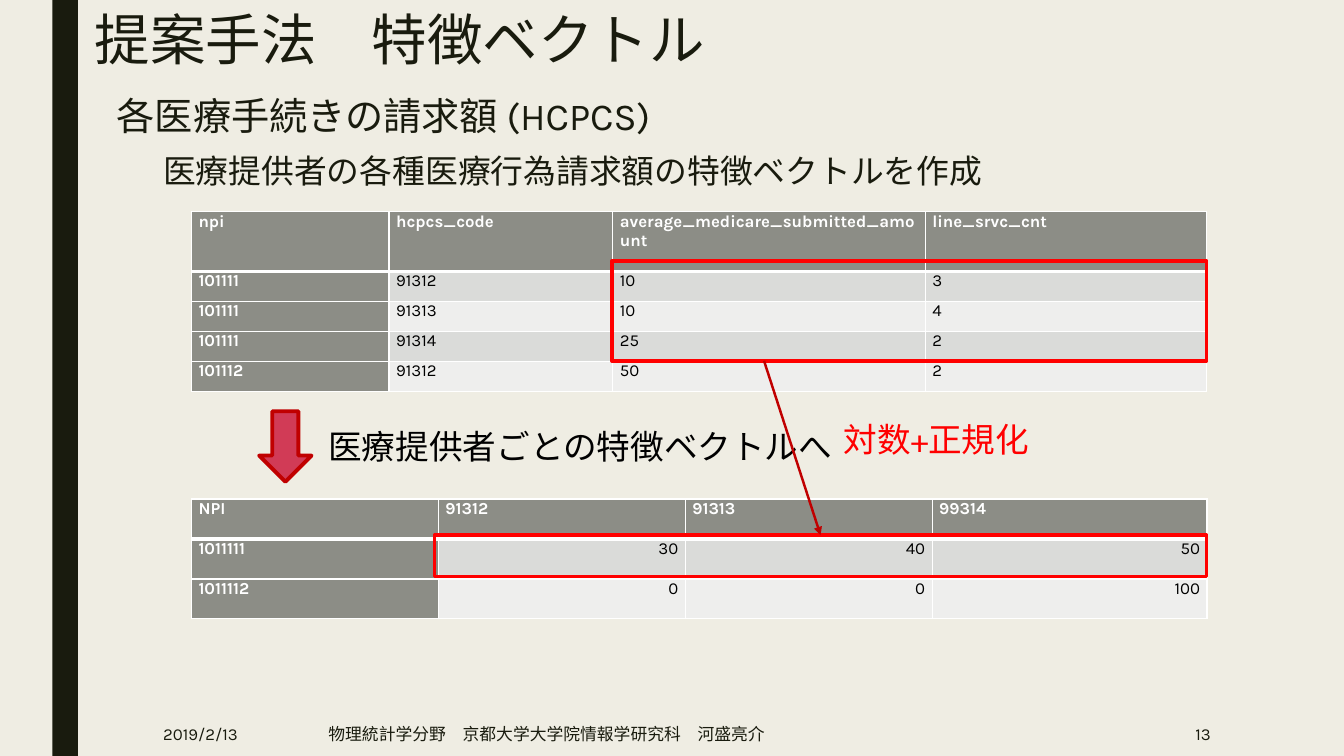
from lxml.etree import SubElement
from pptx import Presentation
from pptx.dml.color import RGBColor
from pptx.enum.shapes import MSO_CONNECTOR, MSO_SHAPE
from pptx.enum.text import MSO_ANCHOR, MSO_AUTO_SIZE, PP_ALIGN
from pptx.oxml.ns import qn
from pptx.util import Inches, Pt

INK, RED, DARK_RED, WHITE, BLACK = "191B0E", "FF0000", "C00000", "FFFFFF", "000000"
HEAD, BANDS = "8C8D86", ("DADBD9", "EEEEED")
LATIN, CJK = "Karla", "Noto Sans CJK JP"


def rgb(value):
    return RGBColor.from_string(value)


class Deck:
    """Style and current slide; lengths are percent of slide width or height."""

    def __init__(self, background):
        self.prs = Presentation()
        self.prs.slide_width, self.prs.slide_height = Inches(13.333), Inches(7.5)
        self.s = self.prs.slides.add_slide(self.prs.slide_layouts[5])
        self.s.background.fill.solid()
        self.s.background.fill.fore_color.rgb = rgb(background)

    def x(self, share):
        return round(self.prs.slide_width * share / 100)

    def y(self, share):
        return round(self.prs.slide_height * share / 100)

    def box(self, left, top, width, height):
        return self.x(left), self.y(top), self.x(width), self.y(height)

    def set_text(self, tf, text, size, color, bold=False, align=PP_ALIGN.LEFT,
                 font=LATIN, spacing=None):
        tf.text = text
        p = tf.paragraphs[0]
        p.alignment = align
        if spacing:
            p.line_spacing = spacing
        r = p.runs[0]
        r.font.size, r.font.bold, r.font.name = Pt(size), bold, font
        r.font.color.rgb = rgb(color)
        SubElement(r._r.get_or_add_rPr(), qn("a:ea")).set("typeface", CJK)

    def title(self, text, at, size):
        sp = self.s.shapes.title
        sp.left, sp.top, sp.width, sp.height = self.box(*at)
        tf = sp.text_frame
        tf.auto_size, tf.vertical_anchor = MSO_AUTO_SIZE.NONE, MSO_ANCHOR.TOP
        self.set_text(tf, text, size, INK, spacing=0.89)

    def text(self, text, at, size, color=INK, anchor=MSO_ANCHOR.TOP, **style):
        tf = self.s.shapes.add_textbox(*self.box(*at)).text_frame
        tf.word_wrap, tf.vertical_anchor = True, anchor
        self.set_text(tf, text, size, color, **style)

    def shape(self, kind, at, fill=None, line=None):
        sp = self.s.shapes.add_shape(kind, *self.box(*at))
        sp.shadow.inherit = False
        if fill:
            sp.fill.solid()
            sp.fill.fore_color.rgb = rgb(fill)
        else:
            sp.fill.background()
        if line:
            sp.line.color.rgb, sp.line.width = rgb(line), Pt(2.75)
        else:
            sp.line.fill.background()
        return sp

    def arrow(self, left, top, target):
        cx = self.s.shapes.add_connector(
            MSO_CONNECTOR.STRAIGHT, self.x(left), self.y(top), target.left, target.top)
        cx.end_connect(target, 0)
        cx.line.color.rgb, cx.line.width = rgb(DARK_RED), Pt(1.75)
        sp_pr = cx._element.spPr
        SubElement(sp_pr.find(qn("a:ln")), qn("a:tailEnd")).set("type", "triangle")
        SubElement(sp_pr, qn("a:effectLst"))

    def borders(self, cell, **widths):
        tc_pr = cell._tc.get_or_add_tcPr()
        for i, side in enumerate("LRTB"):
            ln = SubElement(tc_pr, qn(f"a:ln{side}"), w=str(int(Pt(widths.get(side, 1)))))
            fill = SubElement(ln, qn("a:solidFill"))
            SubElement(fill, qn("a:srgbClr")).set("val", WHITE)
            tc_pr.insert(i, ln)

    def table(self, left, top, cols, rows, data, align):
        at = self.box(left, top, sum(cols), sum(rows))
        table = self.s.shapes.add_table(len(rows), len(cols), *at).table
        for column, width in zip(table.columns, cols):
            column.width = self.x(width)
        for row, height in zip(table.rows, rows):
            row.height = self.y(height)
        for i, values in enumerate(data):
            for j, value in enumerate(values):
                cell = table.cell(i, j)
                label = i == 0 or j == 0
                cell.margin_left = cell.margin_right = Inches(0.07)
                cell.margin_top = cell.margin_bottom = 0
                self.set_text(cell.text_frame, value, 12, WHITE if label else BLACK,
                              bold=label, align=PP_ALIGN.JUSTIFY if label else align)
                cell.fill.solid()
                cell.fill.fore_color.rgb = rgb(HEAD if label else BANDS[(i - 1) % 2])
                self.borders(cell, B=3 if i == 0 else 1, T=3 if i == 1 else 1)


def main():
    deck = Deck("EFEDE3")

    # Side bar, title and headings
    deck.shape(MSO_SHAPE.RECTANGLE, (3.9, 0, 1.9, 100), fill=INK)
    deck.title("提案手法　特徴ベクトル", (6.3, 1.07, 78.75, 10), 39.6)
    deck.text("各医療手続きの請求額 (HCPCS)", (7.95, 12.27, 78.75, 10), 27.3, spacing=0.89)
    deck.text("医療提供者の各種医療行為請求額の特徴ベクトルを作成",
              (11.4, 19.87, 78.75, 10), 23.4, spacing=0.89)

    # Footer
    for text, left, width, style in (
        ("2019/2/13", 11.4, 9.9, {}),
        ("物理統計学分野　京都大学大学院情報学研究科　河盛亮介", 23.7, 51.53, {"font": CJK}),
        ("13", 77.7, 13.13, {"align": PP_ALIGN.RIGHT}),
    ):
        deck.text(text, (left, 94.13, width, 5.87), 12, anchor=MSO_ANCHOR.MIDDLE, **style)

    # Claims table and feature vector table
    deck.table(14.25, 28, (14.7, 16.65, 23.25, 20.93), (7.92,) + (3.96,) * 4, (
        ("npi", "hcpcs_code", "average_medicare_submitted_amount", "line_srvc_cnt"),
        ("101111", "91312", "10", "3"),
        ("101111", "91313", "10", "4"),
        ("101111", "91314", "25", "2"),
        ("101112", "91312", "50", "2"),
    ), PP_ALIGN.JUSTIFY)
    deck.table(14.25, 66, (18.37,) * 3 + (20.45,), (5.3, 5.3, 5.2), (
        ("NPI", "91312", "91313", "99314"),
        ("1011111", "30", "40", "50"),
        ("1011112", "0", "0", "100"),
    ), PP_ALIGN.RIGHT)

    # Conversion step between the tables
    deck.shape(MSO_SHAPE.DOWN_ARROW, (19.28, 54.4, 3.9, 9.33), "D13B56", DARK_RED)
    deck.text("医療提供者ごとの特徴ベクトルへ", (23.7, 55.73, 44.48, 6.67), 24, BLACK)
    deck.text("対数+正規化", (62.03, 54.8, 37.5, 6.67), 24, RED)

    # Highlighted values and the arrow linking them
    deck.shape(MSO_SHAPE.RECTANGLE, (45.53, 34.53, 44.25, 13.2), line=RED)
    vector = deck.shape(MSO_SHAPE.RECTANGLE, (32.33, 70.8, 57.45, 5.47), line=RED)
    deck.arrow(56.85, 47.73, vector)

    deck.prs.save("out.pptx")


if __name__ == "__main__":
    main()
